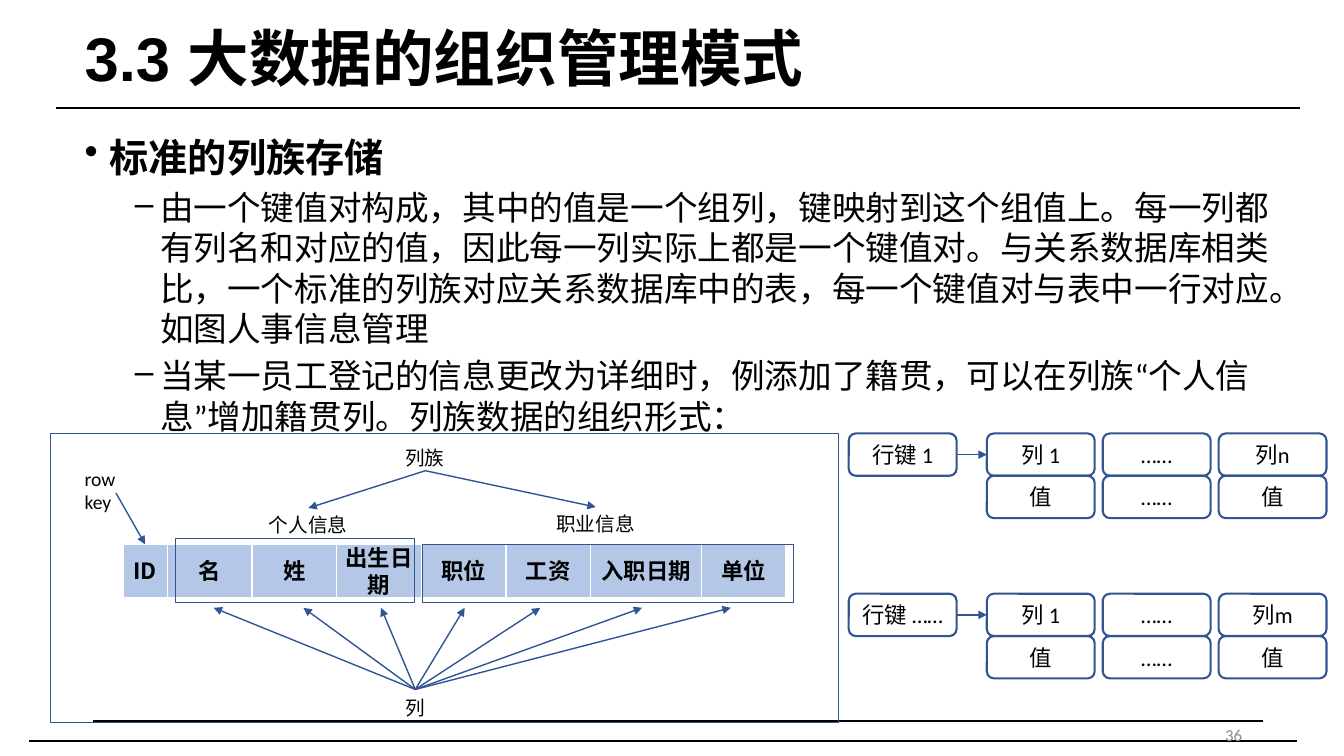
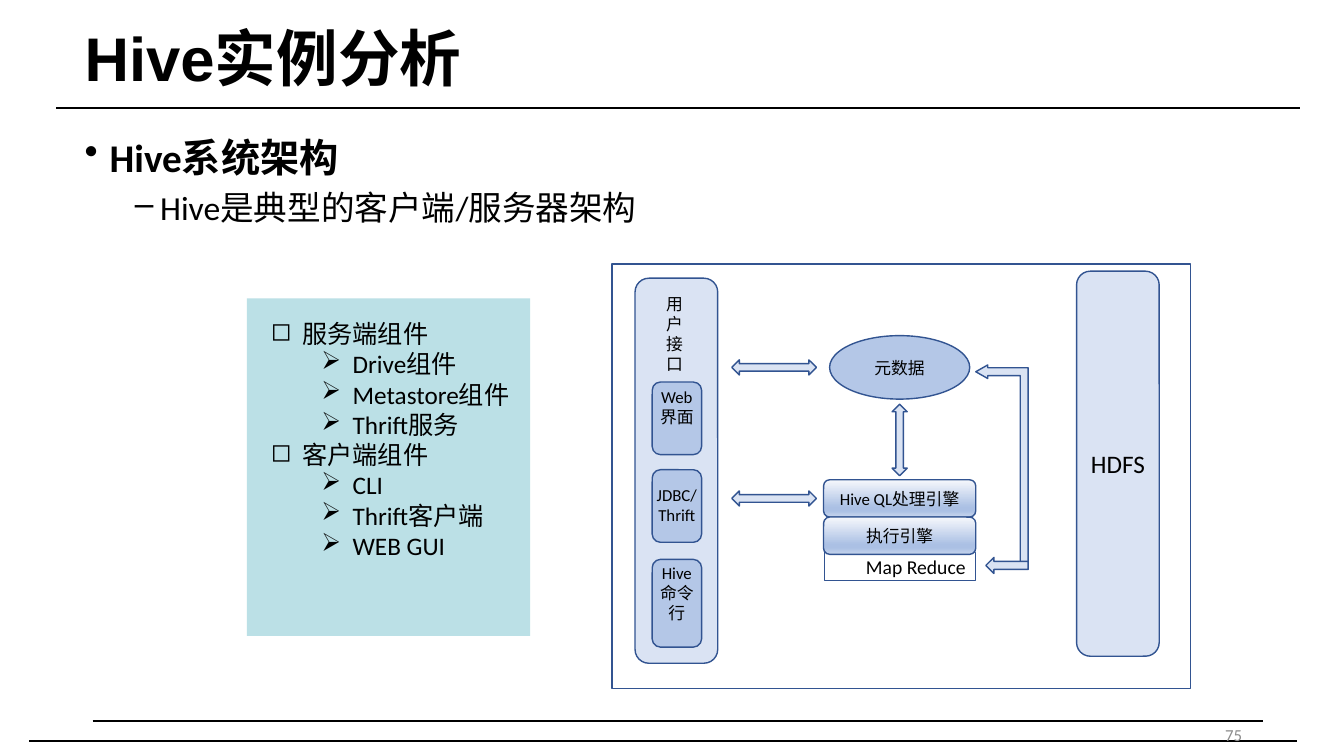
from copy import deepcopy
from itertools import accumulate

from lxml import etree
from pptx import Presentation
from pptx.dml.color import RGBColor
from pptx.enum import shapes, text
from pptx.oxml.ns import qn
from pptx.util import Inches, Pt

WIDE, HIGH = 133.33, 75
BLACK, GREY, WHITE = "000000", "8C8C8C", "FFFFFF"
EDGE, ARROW = "325491", "2F5597"
PALE, BLUE, TEAL = "DAE3F3", "B4C7E7", "BBE0E6"
SHEEN = [(0, "F6F8FC"), (0.74, "ABC0E4"), (0.83, "ABC0E4"), (1, "C7D5ED")]
HEAD, BODY, HAN = "Arial", "Calibri", "Noto Sans CJK SC"
KIND = shapes.MSO_SHAPE
LEFT, MID, RIGHT = text.PP_ALIGN.LEFT, text.PP_ALIGN.CENTER, text.PP_ALIGN.RIGHT


def grid(*cells):
    """Turn cells of a tenth of an inch into lengths."""
    return [Inches(cell / 10) for cell in cells]


def tint(code):
    """Return the colour for a hex string."""
    return RGBColor.from_string(code)


def style(para, size, face=BODY, bold=False, color=BLACK, align=LEFT):
    """Format a paragraph and its runs."""
    para.alignment = align
    for run in para.runs:
        font = run.font
        font.size, font.name, font.bold = Pt(size), face, bold
        font.color.rgb = tint(color)
        etree.SubElement(run._r.rPr, qn("a:ea")).set("typeface", face)


def mark(para, sign, start, hang, level):
    """Give a paragraph a bullet with a hanging indent."""
    para.level = level
    props = para._p.get_or_add_pPr()
    props.set("marL", str(Inches(start)))
    props.set("indent", str(-Inches(hang)))
    etree.SubElement(props, qn("a:buChar")).set("char", sign)


def label(slide, words, at, size=14, wrap=False, align=LEFT, color=BLACK):
    """Add a text box with one paragraph."""
    frame = slide.shapes.add_textbox(*grid(*at)).text_frame
    frame.word_wrap = wrap
    frame.text = words
    style(frame.paragraphs[0], size, align=align, color=color)
    return frame


def listing(slide, at, items, looks):
    """Add a bulleted list whose items are pairs of level and words."""
    frame = slide.shapes.add_textbox(*grid(*at)).text_frame
    frame.word_wrap = True
    for i, (level, words) in enumerate(items):
        para = frame.add_paragraph() if i else frame.paragraphs[0]
        sign, start, hang, size, bold, gap = looks[level]
        para.text = words
        para.space_before = Pt(gap if i else 0)
        mark(para, sign, start, hang, level)
        style(para, size, bold=bold)


def shape(slide, kind, at, fill=None, edge=EDGE, width=1, words="", size=12,
          face=BODY, bold=False, align=MID, inset=1):
    """Add a preset shape with optional centred text."""
    item = slide.shapes.add_shape(kind, *grid(*at))
    item.shadow.inherit = False
    if fill:
        item.fill.solid()
        item.fill.fore_color.rgb = tint(fill)
    else:
        item.fill.background()
    if edge:
        item.line.color.rgb = tint(edge)
        item.line.width = Pt(width)
    else:
        item.line.fill.background()
    if words:
        frame = item.text_frame
        frame.word_wrap = True
        frame.vertical_anchor = text.MSO_ANCHOR.MIDDLE
        frame.margin_left, frame.margin_right = grid(inset, inset)
        frame.text = words
        style(frame.paragraphs[0], size, face, bold, align=align)
    return item


def shade(item):
    """Fill a shape with the vertical sheen."""
    item.fill.gradient()
    item.fill.gradient_angle = 270
    stops = item._element.spPr.find(".//" + qn("a:gsLst"))
    for _ in SHEEN[2:]:
        stops.append(deepcopy(stops[0]))
    for stop, (place, code) in zip(item.fill.gradient_stops, SHEEN):
        stop.position = place
        stop.color.rgb = tint(code)


def line(slide, start, end, color=BLACK, width=1.0, arrow=False):
    """Add a straight line, with an arrowhead at its end if asked."""
    item = slide.shapes.add_connector(
        shapes.MSO_CONNECTOR.STRAIGHT, *grid(*start, *end))
    item.line.color.rgb = tint(color)
    item.line.width = Pt(width)
    if arrow:
        tail = etree.SubElement(item.line._get_or_add_ln(), qn("a:tailEnd"))
        tail.set("type", "triangle")
    etree.SubElement(item._element.spPr, qn("a:effectLst"))
    return item


def page(deck, title, number, items):
    """Add a slide with its title, rules, number and main list."""
    slide = deck.slides.add_slide(deck.slide_layouts[5])
    head = slide.shapes.title
    head.left, head.top, head.width, head.height = grid(7.4, 1.5, 119.5, 9.2)
    frame = head.text_frame
    frame.text = title
    frame.vertical_anchor = text.MSO_ANCHOR.MIDDLE
    frame.paragraphs[0].line_spacing = 0.9
    style(frame.paragraphs[0], 44, HEAD, True)
    for left, right, top, width in [(5.6, 129, 10.7, 1.75),
                                    (9.2, 125.3, 71.5, 1.25),
                                    (2.9, 128.7, 73.5, 1.5)]:
        line(slide, (left, top), (right, top), width=width)
    listing(slide, (7.4, 12.7, 119.5, 54.9), items,
            [("•", 0.25, 0.25, 28, True, 10), ("–", 0.75, 0.25, 24, False, 5)])
    foot = label(slide, number, (94.2, 70.9, 30, 4), 12, True, RIGHT, GREY)
    foot.vertical_anchor = text.MSO_ANCHOR.MIDDLE
    return slide


def family(slide):
    """Draw the column families of the staff table."""
    names = ["ID", "名", "姓", "出生日期", "职位", "工资", "入职日期", "单位"]
    spans = [4.4] + [8.4] * 5 + [11, 8.4]
    for name, left, span in zip(names, accumulate(spans, initial=12.2), spans):
        shape(slide, KIND.RECTANGLE, (left, 54, span, 5.3), BLUE, WHITE,
              words=name, size=16, face=HAN, bold=True, inset=0)
    for at in [(17.4, 53.4, 23.7, 6.4), (41.9, 54, 36.8, 5.8),
               (5, 43, 78.2, 28.7)]:
        shape(slide, KIND.RECTANGLE, at)
    for words, left, top, span in [
            ("个人信息", 25.7, 50.4, 9.8), ("职业信息", 54.2, 50.3, 9.8),
            ("列族", 39.2, 43.7, 5.9), ("列", 39.2, 68.5, 3.9),
            ("row key", 7.4, 45.8, 8.1)]:
        label(slide, words, (left, top, span, 3.1))
    fans = [((42.2, 46.7), [(30.6, 50.4), (59.1, 50.3)]),
            ((11.5, 48.9), [(14.4, 54)]),
            ((41.2, 68.4), [(tip, 60.3) for tip in
                            (21.2, 30.1, 37.8, 46.1, 53.6, 63.7, 72.5)])]
    for start, tips in fans:
        for tip in tips:
            line(slide, start, tip, ARROW, arrow=True)


def record(slide, top, key, last):
    """Draw a row key and the columns and values it maps to."""
    def box(left, row, words):
        """Add one rounded box of the record."""
        return shape(slide, KIND.ROUNDED_RECTANGLE,
                     (left, top + row * 4.2, 10.7, 4.2),
                     width=1.5, words=words, size=16)
    rowkey = box(84.2, 0, key)
    boxes = [box(97.9 + col * 11.5, row, words)
             for row, line_ in enumerate([("列 1", "……", last),
                                          ("值", "……", "值")])
             for col, words in enumerate(line_)]
    link = line(slide, (94.9, top + 2.1), (97.9, top + 2.1), ARROW, arrow=True)
    link.begin_connect(rowkey, 3)
    link.end_connect(boxes[0], 1)


def parts(slide):
    """Draw the panel that lists the components."""
    shape(slide, KIND.RECTANGLE, (24.5, 29.6, 28.1, 33.5), TEAL, None)
    items = [(0, "服务端组件"), (1, "Drive组件"), (1, "Metastore组件"),
             (1, "Thrift服务"), (0, "客户端组件"), (1, "CLI"),
             (1, "Thrift客户端"), (1, "WEB GUI")]
    listing(slide, (25.9, 31.1, 26.7, 28.3), items,
            [("◻", 0.31, 0.31, 18, False, 0), ("➢", 0.81, 0.31, 18, False, 0)])


def system(slide):
    """Draw the system diagram."""
    pill = KIND.ROUNDED_RECTANGLE
    shape(slide, KIND.RECTANGLE, (60.7, 26.2, 57.4, 42.1))
    shape(slide, KIND.RECTANGLE, (81.8, 54.8, 15, 2.8),
          words="Map Reduce", size=14, align=RIGHT)
    shape(slide, pill, (63, 27.6, 8.2, 38.2), PALE)
    shape(slide, pill, (106.8, 26.9, 8.2, 38.2), PALE, words="HDFS", size=18)
    label(slide, "用户接口", (65.1, 28.6, 3.6, 9.1), 12, True)
    for words, top, high, at in [
            ("Web界面", 37.9, 7.2, (64.5, 37.9, 5.3, 7.1)),
            ("JDBC/Thrift", 46.6, 7.2, (63.8, 47.6, 6.7, 5)),
            ("Hive命令行", 55.5, 8.7, (64.5, 55.3, 5.3, 9.1))]:
        shape(slide, pill, (64.7, top, 4.9, high), BLUE)
        label(slide, words, at, 12, True, MID)
    shape(slide, KIND.OVAL, (82.3, 33.3, 13.9, 6.3), BLUE, words="元数据")
    for i, words in enumerate(["Hive QL处理引擎", "执行引擎"]):
        shade(shape(slide, pill, (81.7, 47.6 + i * 3.7, 15.1, 3.7),
                    words=words))
    for top in (35.7, 48.7):
        shape(slide, KIND.LEFT_RIGHT_ARROW, (72.6, top, 8.4, 1.5), PALE)
    shape(slide, KIND.UP_DOWN_ARROW, (88.5, 40.1, 1.5, 7.1), PALE)
    bent = shape(slide, KIND.BENT_UP_ARROW, (89.5, 43.5, 19.8, 5.2), PALE)
    bent.rotation = 270
    for i, share in enumerate((0.15, 0.13, 0.23)):
        bent.adjustments[i] = share
    shape(slide, KIND.LEFT_ARROW, (97.8, 55.3, 4.2, 1.6), PALE)


def main():
    """Build and save the deck."""
    deck = Presentation()
    deck.slide_width, deck.slide_height = grid(WIDE, HIGH)
    store = page(deck, "3.3 大数据的组织管理模式", "36", [
        (0, "标准的列族存储"),
        (1, "由一个键值对构成，其中的值是一个组列，键映射到这个组值上。"
            "每一列都有列名和对应的值，因此每一列实际上都是一个键值对。"
            "与关系数据库相类比，一个标准的列族对应关系数据库中的表，"
            "每一个键值对与表中一行对应。如图人事信息管理"),
        (1, "当某一员工登记的信息更改为详细时，例添加了籍贯，"
            "可以在列族“个人信息”增加籍贯列。列族数据的组织形式：")])
    family(store)
    record(store, 43, "行键 1", "列n")
    record(store, 58.9, "行键 ……", "列m")
    hive = page(deck, "Hive实例分析", "75", [
        (0, "Hive系统架构"), (1, "Hive是典型的客户端/服务器架构")])
    parts(hive)
    system(hive)
    deck.save("out.pptx")


if __name__ == "__main__":
    main()
